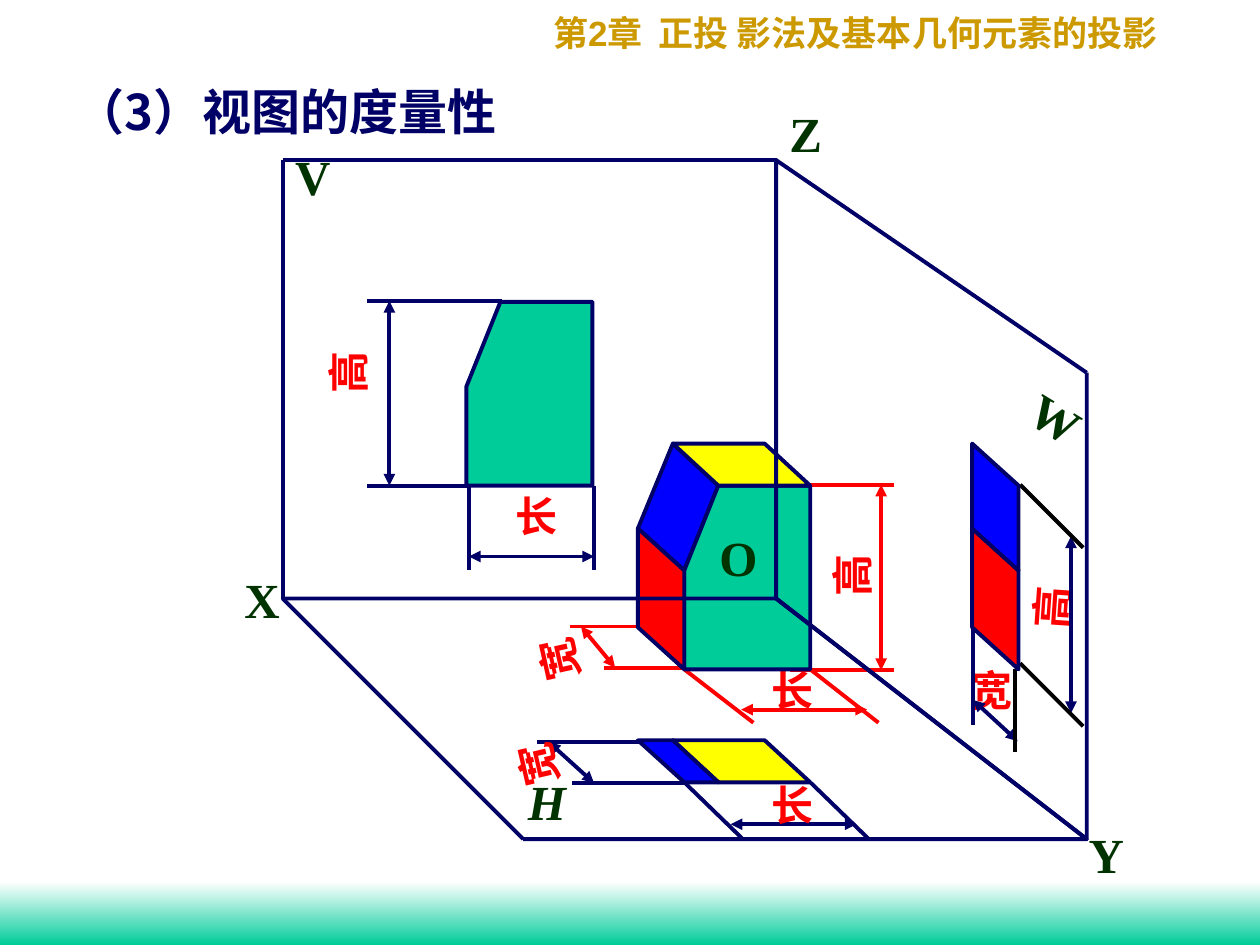
"""Build the slide on measuring length, height and width in projected views."""
from dataclasses import dataclass

import pptx
import pptx.dml.color
import pptx.enum.shapes
import pptx.enum.text
import pptx.oxml.ns
import pptx.util
from lxml import etree

Pt = pptx.util.Pt
Point = tuple[float, float]
COLORS = {
    "navy": "000066", "red": "FF0000", "black": "000000", "blue": "0000FF",
    "green": "00CC99", "yellow": "FFFF00", "axis": "003300",
    "gold": "CC9900", "white": "FFFFFF",
}
CJK_FONT = "Noto Sans CJK SC"
LATIN_FONT = "Times New Roman"


@dataclass
class Line:
    start: Point
    end: Point
    color: str = "navy"
    arrows: bool = False


@dataclass
class Outline:
    points: list[Point]
    fill: str | None = None


@dataclass
class Label:
    runs: list[str]
    left: float
    top: float
    width: float = 38
    height: float = 36
    color: str = "red"
    size: float = 24
    rotation: float = 0
    font: str = LATIN_FONT
    italic: bool = False
    centered: bool = False
    wrap: bool = False


def rgb(name: str) -> pptx.dml.color.RGBColor:
    """Return a named colour."""
    return pptx.dml.color.RGBColor.from_string(COLORS[name])


def shift(points: list[Point], dx: float, dy: float) -> list[Point]:
    """Move points by an offset."""
    return [(x + dx, y + dy) for x, y in points]


def axis_label(text: str, left: float, top: float, width: float = 35, **style) -> Label:
    """Describe the letter of an axis or a plane."""
    return Label([text], left, top, width, 41, "axis", 28, **style)


def draw_line(s, item: Line) -> None:
    """Draw a line, with arrowheads at both ends if asked."""
    ends = [Pt(v) for v in (*item.start, *item.end)]
    sp = s.shapes.add_connector(pptx.enum.shapes.MSO_CONNECTOR.STRAIGHT, *ends)
    sp.line.width = Pt(2.25)
    sp.line.color.rgb = rgb(item.color)
    if item.arrows:
        ln = sp.line._get_or_add_ln()
        for tag in ("a:headEnd", "a:tailEnd"):
            etree.SubElement(ln, pptx.oxml.ns.qn(tag), type="triangle")
    etree.SubElement(sp._element.spPr, pptx.oxml.ns.qn("a:effectLst"))


def draw_outline(s, item: Outline) -> None:
    """Draw a filled face, or an open path when there is no fill."""
    start, *rest = [(Pt(x), Pt(y)) for x, y in item.points]
    builder = s.shapes.build_freeform(*start, scale=1.0)
    builder.add_line_segments(rest, close=item.fill is not None)
    sp = builder.convert_to_shape()
    sp.shadow.inherit = False
    sp.line.width = Pt(2.25)
    sp.line.color.rgb = rgb("navy")
    if item.fill:
        sp.fill.solid()
        sp.fill.fore_color.rgb = rgb(item.fill)
    else:
        sp.fill.background()


def draw_label(s, item: Label) -> None:
    """Draw a bold text box."""
    sp = s.shapes.add_textbox(*(Pt(v) for v in (item.left, item.top, item.width, item.height)))
    sp.rotation = item.rotation
    tf = sp.text_frame
    tf.word_wrap = item.wrap
    tf.auto_size = pptx.enum.text.MSO_AUTO_SIZE.SHAPE_TO_FIT_TEXT
    p = tf.paragraphs[0]
    if item.centered:
        tf.vertical_anchor = pptx.enum.text.MSO_ANCHOR.MIDDLE
        p.alignment = pptx.enum.text.PP_ALIGN.CENTER
    for text in item.runs:
        r = p.add_run()
        r.text = text
        r.font.name = "Arial" if text.isdigit() else item.font
        r.font.size = Pt(item.size)
        r.font.bold = True
        r.font.italic = item.italic
        r.font.color.rgb = rgb(item.color)
        etree.SubElement(r.font._element, pptx.oxml.ns.qn("a:ea"), typeface=CJK_FONT)


def draw_footer(s) -> None:
    """Draw the gradient band along the bottom."""
    sp = s.shapes.add_shape(
        pptx.enum.shapes.MSO_SHAPE.RECTANGLE, Pt(0), Pt(504), Pt(720), Pt(36))
    sp.shadow.inherit = False
    sp.line.fill.background()
    sp.fill.gradient()
    sp.fill.gradient_angle = 270
    for stop, position, color in zip(sp.fill.gradient_stops, (0, 1), ("white", "green")):
        stop.position = position
        stop.color.rgb = rgb(color)


DRAW = {Line: draw_line, Outline: draw_outline, Label: draw_label}

ORIGIN, X, Y, Z = (443.5, 342), (161.5, 342), (621, 479.5), (443.5, 91.5)
V_CORNER, H_CORNER, W_CORNER = (161.5, 91.5), (299, 479.5), (621, 213)

FRONT = [(410.5, 277.5), (463, 277.5), (463, 382.5), (391, 382.5), (391, 326)]
SLOPE = [(410.5, 277.5), (384.5, 253.5), (364.5, 302), (391, 326)]
TOP = [(463, 277.5), (437, 253.5), (384.5, 253.5), (410.5, 277.5)]
SIDE = [(391, 326), (364.5, 302), (364.5, 358.5), (391, 382.5)]
SLOPE_ON_H = [(384.5, 423), (364.5, 423), (391, 447), (410.5, 447)]
SLOPE_ON_W = [(582, 326), (582, 277.5), (555.5, 253.5), (555.5, 302)]

SOLID_DIMENSIONS = [
    Line((451.5, 277), (511, 277), "red"),
    Line((451.5, 383), (511, 383), "red"),
    Line((503.5, 277), (503.5, 383), "red", True),
    Label(["高"], 468, 311, rotation=270),
    Line((463, 382.5), (502, 413), "red"),
    Line((391, 382.5), (430.5, 413), "red"),
    Line((423.5, 405.5), (495.5, 405.5), "red", True),
    Label(["长"], 433.5, 376),
    Line((364.5, 358), (325.5, 358), "red"),
    Line((390, 381.5), (345, 381.5), "red"),
    Line((351.5, 381.5), (332, 358), "red", True),
    Label(["宽"], 300, 359, rotation=257.3),
]
V_DIMENSIONS = [
    Line((339.5, 277.5), (339.5, 326), "navy"),
    Line((268, 277.5), (268, 326), "navy"),
    Line((268, 318), (339.5, 318), arrows=True),
    Line((287, 172), (209.5, 172)),
    Line((268, 277.5), (209.5, 277.5)),
    Line((222.5, 172), (222.5, 277.5), arrows=True),
    Label(["长"], 287.5, 276.5),
    Label(["高"], 180, 195, rotation=270),
]
H_DIMENSIONS = [
    Line((391.5, 447.5), (327, 447.5)),
    Line((339.5, 447.5), (313.5, 424), arrows=True),
    Line((366, 424), (307, 424)),
    Line((463.5, 447.5), (496, 479)),
    Line((391.5, 447.5), (424, 479)),
    Line((417.5, 471), (489.5, 471), arrows=True),
    Label(["长"], 433.5, 442),
    Label(["宽"], 288, 419, rotation=256.9),
]
W_DIMENSIONS = [
    Label(["高"], 582, 329, rotation=274),
    Line((612, 306.5), (612, 407.5), arrows=True),
    Line((583, 277), (619, 313), "black"),
    Line((583, 379), (619, 415), "black"),
    Label(["宽"], 547.5, 376),
    Line((556, 352), (556, 414.5)),
    Line((581.5, 423.5), (556, 400), arrows=True),
    Line((580, 382.5), (580, 430), "black"),
]
SPACE = [
    Outline([V_CORNER, X, (319, 342)]),
    Outline([V_CORNER, Z, ORIGIN, (417, 342)]),
    Line((312, 342), (430.5, 342)),
    Outline(SLOPE, "blue"),
    Outline(FRONT, "green"),
    Outline(TOP, "yellow"),
    Outline(SIDE, "red"),
    Outline(shift(FRONT, -124.5, -105), "green"),
    Outline(shift(TOP, 0, 169.5), "yellow"),
    Outline(SLOPE_ON_H, "blue"),
    Outline(shift(SIDE, 191, 0), "red"),
    Outline(SLOPE_ON_W, "blue"),
    axis_label("O", 404, 298),
    axis_label("X", 132.5, 322),
    axis_label("Y", 615, 467.5),
    axis_label("Z", 444, 55.5),
    axis_label("V", 161.5, 80),
    axis_label("W", 582.5, 218, 42.5, rotation=31.2),
    Outline([ORIGIN, Y, W_CORNER]),
    Outline([W_CORNER, Z, ORIGIN]),
    Line(H_CORNER, X),
    Outline([X, ORIGIN, Y, H_CORNER]),
    axis_label("H", 294.5, 437, italic=True, centered=True),
]
HEADER = Label(["第", "2", "章  正投 影法及基本几何元素的投影"],
               309, 3, 381, 31.5, "gold", 20, wrap=True)
TITLE = Label(["（3）视图的度量性"], 29.5, 43, 268, 41, "navy", 28,
              font=CJK_FONT, centered=True, wrap=True)


def main() -> None:
    """Build and save the slide."""
    prs = pptx.Presentation()
    prs.slide_width, prs.slide_height = Pt(720), Pt(540)
    s = prs.slides.add_slide(prs.slide_layouts[6])
    draw_footer(s)
    for item in [HEADER, *SOLID_DIMENSIONS, *V_DIMENSIONS, *H_DIMENSIONS,
                 *W_DIMENSIONS, *SPACE, TITLE]:
        DRAW[type(item)](s, item)
    prs.save("out.pptx")


if __name__ == "__main__":
    main()
